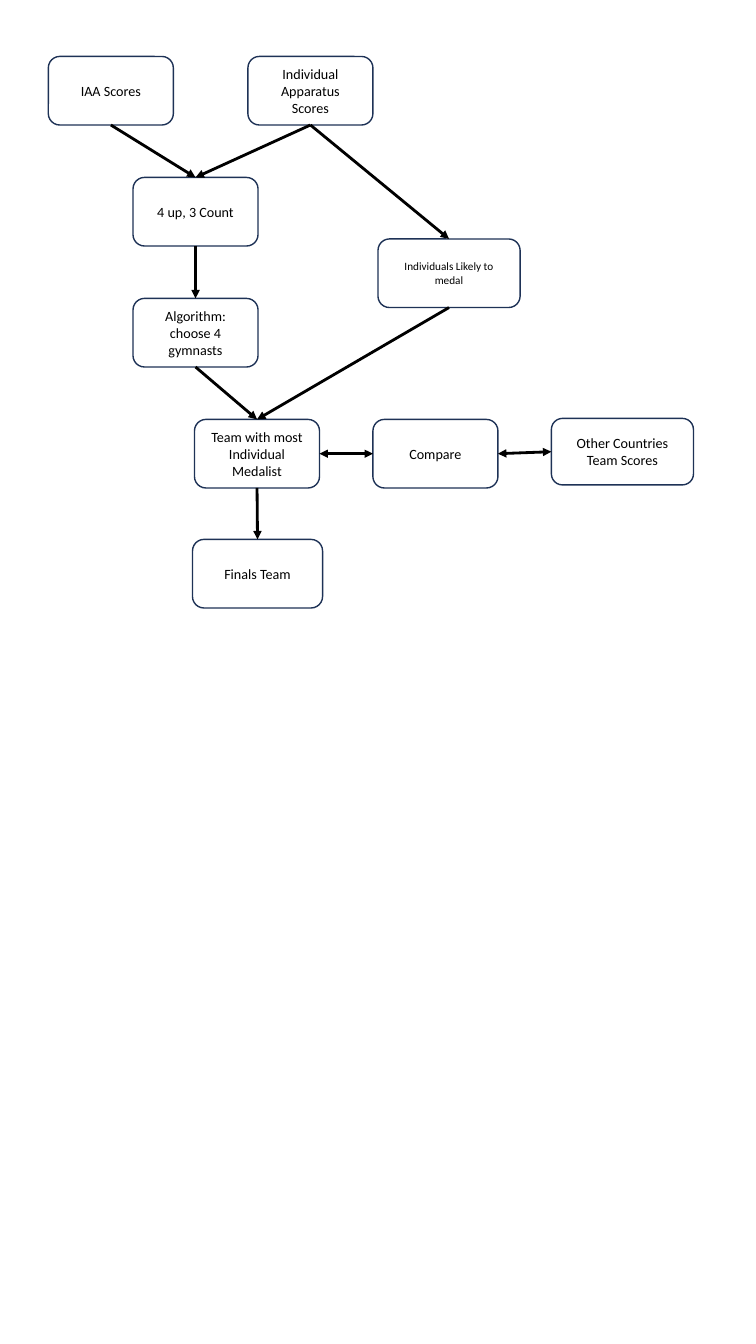
from lxml.etree import SubElement
from pptx import Presentation
from pptx.dml.color import RGBColor
from pptx.enum.shapes import MSO_CONNECTOR as Link, MSO_SHAPE as Shape
from pptx.enum.text import MSO_ANCHOR as Anchor, PP_ALIGN as Align
from pptx.oxml.ns import qn
from pptx.util import Inches, Pt

BLACK = RGBColor(0x00, 0x00, 0x00)
NAVY = RGBColor(0x1E, 0x32, 0x56)
WIDE, HIGH = 1.24, 0.68
TOP, LEFT, BOTTOM, RIGHT = range(4)

STEPS = {
    "iaa": ("IAA Scores", 0, 0, WIDE, HIGH, 10.1),
    "count": ("4 up, 3 Count", 0.84, 1.2, WIDE, HIGH, 10.1),
    "team": ("Team with most Individual Medalist", 1.45, 3.6, WIDE, HIGH, 10.1),
    "finals": ("Finals Team", 1.43, 4.79, 1.29, HIGH, 10.1),
    "choose": ("Algorithm: choose 4 gymnasts", 0.84, 2.4, WIDE, HIGH, 10.1),
    "single": ("Individual Apparatus Scores", 1.98, 0, WIDE, HIGH, 10.1),
    "medal": ("Individuals Likely to medal", 3.27, 1.81, 1.41, HIGH, 8),
    "other": ("Other Countries Team Scores", 4.99, 3.59, 1.41, 0.66, 10.1),
    "compare": ("Compare", 3.22, 3.6, WIDE, HIGH, 10.1),
}
DOWN = [
    ("count", "choose"),
    ("team", "finals"),
    ("medal", "team"),
    ("iaa", "count"),
    ("choose", "team"),
    ("single", "count"),
    ("single", "medal"),
]
ACROSS = [("team", "compare"), ("compare", "other")]


def add_step(slide, text, x, y, w, h, size):
    box = slide.shapes.add_shape(
        Shape.ROUNDED_RECTANGLE, Inches(x), Inches(y), Inches(w), Inches(h)
    )
    box.shadow.inherit = False
    box.fill.background()
    box.line.color.rgb = NAVY
    box.line.width = Pt(1)
    frame = box.text_frame
    frame.word_wrap = True
    frame.vertical_anchor = Anchor.MIDDLE
    frame.text = text
    line = frame.paragraphs[0]
    line.alignment = Align.CENTER
    font = line.runs[0].font
    font.name = "Calibri"
    font.size = Pt(size)
    font.color.rgb = BLACK
    return box


def add_arrow(slide, start, side, end, goal, heads):
    arrow = slide.shapes.add_connector(Link.STRAIGHT, 0, 0, 0, 0)
    arrow.begin_connect(start, side)
    arrow.end_connect(end, goal)
    arrow.line.color.rgb = BLACK
    arrow.line.width = Pt(2)
    props = arrow.line._get_or_add_ln()
    for head in heads:
        SubElement(props, qn(f"a:{head}"), type="triangle")
    SubElement(arrow._element.spPr, qn("a:effectLst"))


def add_flow(slide, left, top):
    boxes = {
        key: add_step(slide, text, left + x, top + y, w, h, size)
        for key, (text, x, y, w, h, size) in STEPS.items()
    }
    for start, end in DOWN:
        add_arrow(slide, boxes[start], BOTTOM, boxes[end], TOP, ["tailEnd"])
    for start, end in ACROSS:
        add_arrow(slide, boxes[start], RIGHT, boxes[end], LEFT, ["headEnd", "tailEnd"])


def main():
    deck = Presentation()
    deck.slide_width = Inches(7.5)
    deck.slide_height = Inches(13.33)
    slide = deck.slides.add_slide(deck.slide_layouts[6])
    add_flow(slide, 0.48, 0.56)
    deck.save("out.pptx")


if __name__ == "__main__":
    main()
